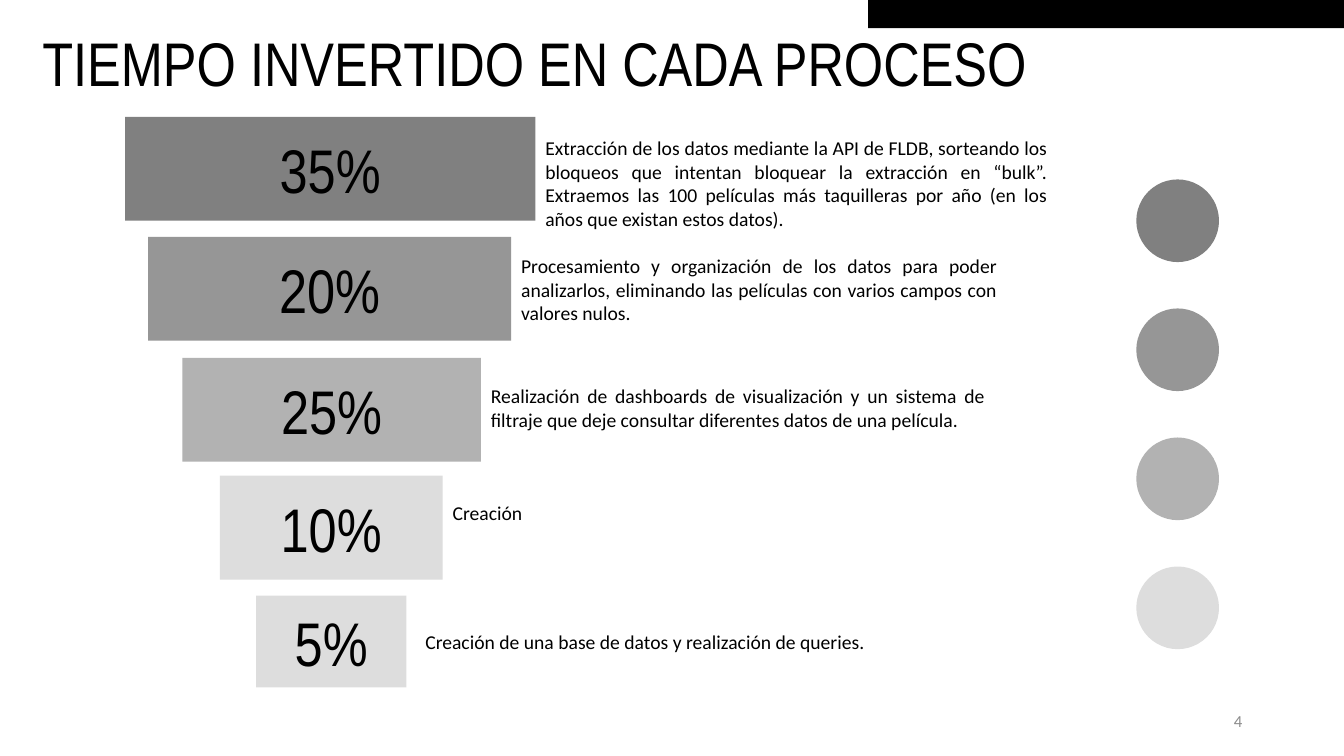
from pptx import Presentation
from pptx.dml.color import RGBColor
from pptx.enum.shapes import MSO_SHAPE as SHAPE
from pptx.enum.text import MSO_ANCHOR as ANCHOR, PP_ALIGN as ALIGN
from pptx.util import Pt

PX = 9144  # 100 px to the inch
HEADING, BODY = "Arial Narrow", "Calibri"
BLACK, PAGE_GREY = "000000", "8C8C8C"
GREYS = ["808080", "969696", "B2B2B2", "DDDDDD"]

# Share, fill, bar box, then description, its top, width, indent and alignment
STEPS = [
    ("35%", GREYS[0], (124, 116, 407, 103),
     "Extracción de los datos mediante la API de FLDB, sorteando los bloqueos "
     "que intentan bloquear la extracción en “bulk”. Extraemos las 100 películas "
     "más taquilleras por año (en los años que existan estos datos).",
     130, 518, 0, ALIGN.JUSTIFY),
    ("20%", GREYS[1], (147, 235, 360, 103),
     "Procesamiento y organización de los datos para poder analizarlos, "
     "eliminando las películas con varios campos con valores nulos.",
     247, 492, 0, ALIGN.JUSTIFY),
    ("25%", GREYS[2], (181, 355, 296, 103),
     "Realización de dashboards de visualización y un sistema de filtraje "
     "que deje consultar diferentes datos de una película.",
     376, 510, 0, ALIGN.JUSTIFY),
    ("10%", GREYS[3], (218, 472, 221, 103),
     "Creación", 492, 535, 0, ALIGN.JUSTIFY),
    ("5%", GREYS[3], (254, 591, 149, 91),
     "Creación de una base de datos y realización de queries.",
     620, 510, 9, ALIGN.LEFT),
]


def color(hex_code):
    return RGBColor.from_string(hex_code)


def px(*lengths):
    return [n * PX for n in lengths]


def write(tf, text, size=14, font=BODY, fill=BLACK, align=ALIGN.LEFT,
          anchor=ANCHOR.TOP):
    tf.word_wrap = True
    tf.vertical_anchor = anchor
    p = tf.paragraphs[0]
    p.alignment = align
    r = p.add_run()
    r.text = text
    r.font.size = Pt(size)
    r.font.name = font
    r.font.color.rgb = color(fill)


class Slide:
    """Holds the current slide and the style of its elements."""

    def __init__(self, prs):
        self.s = prs.slides.add_slide(prs.slide_layouts[5])
        self.big = {"size": 44, "font": HEADING}

    def title(self, text, *box):
        sp = self.s.shapes.title
        sp.left, sp.top, sp.width, sp.height = px(*box)
        write(sp.text_frame, text, **self.big)

    def shape(self, kind, fill, *box):
        sp = self.s.shapes.add_shape(kind, *px(*box))
        sp.shadow.inherit = False
        sp.fill.solid()
        sp.fill.fore_color.rgb = color(fill)
        sp.line.fill.background()
        return sp

    def bar(self, text, fill, *box):
        sp = self.shape(SHAPE.RECTANGLE, fill, *box)
        write(sp.text_frame, text, align=ALIGN.CENTER, anchor=ANCHOR.MIDDLE,
              **self.big)

    def text(self, text, *box, **style):
        sp = self.s.shapes.add_textbox(*px(*box))
        write(sp.text_frame, text, **style)


def main():
    prs = Presentation()
    prs.slide_width, prs.slide_height = px(1333, 750)
    slide = Slide(prs)

    # Heading, corner band and page number
    slide.title("TIEMPO INVERTIDO EN CADA PROCESO", 32, 20, 1270, 84)
    slide.shape(SHAPE.RECTANGLE, BLACK, 861, 0, 472, 28)
    slide.text("4", 942, 695, 300, 40, size=12, fill=PAGE_GREY,
               align=ALIGN.RIGHT, anchor=ANCHOR.MIDDLE)

    # Funnel bars with a description beside each
    for share, fill, box, note, top, width, indent, align in STEPS:
        left, _, bar_width, _ = box
        slide.bar(share, fill, *box)
        slide.text(note, left + bar_width + indent, top, width, 34, align=align)

    # Column of circles
    for i, fill in enumerate(GREYS):
        slide.shape(SHAPE.OVAL, fill, 1127, 178 + 128 * i, 82, 82)

    prs.save("out.pptx")


if __name__ == "__main__":
    main()
